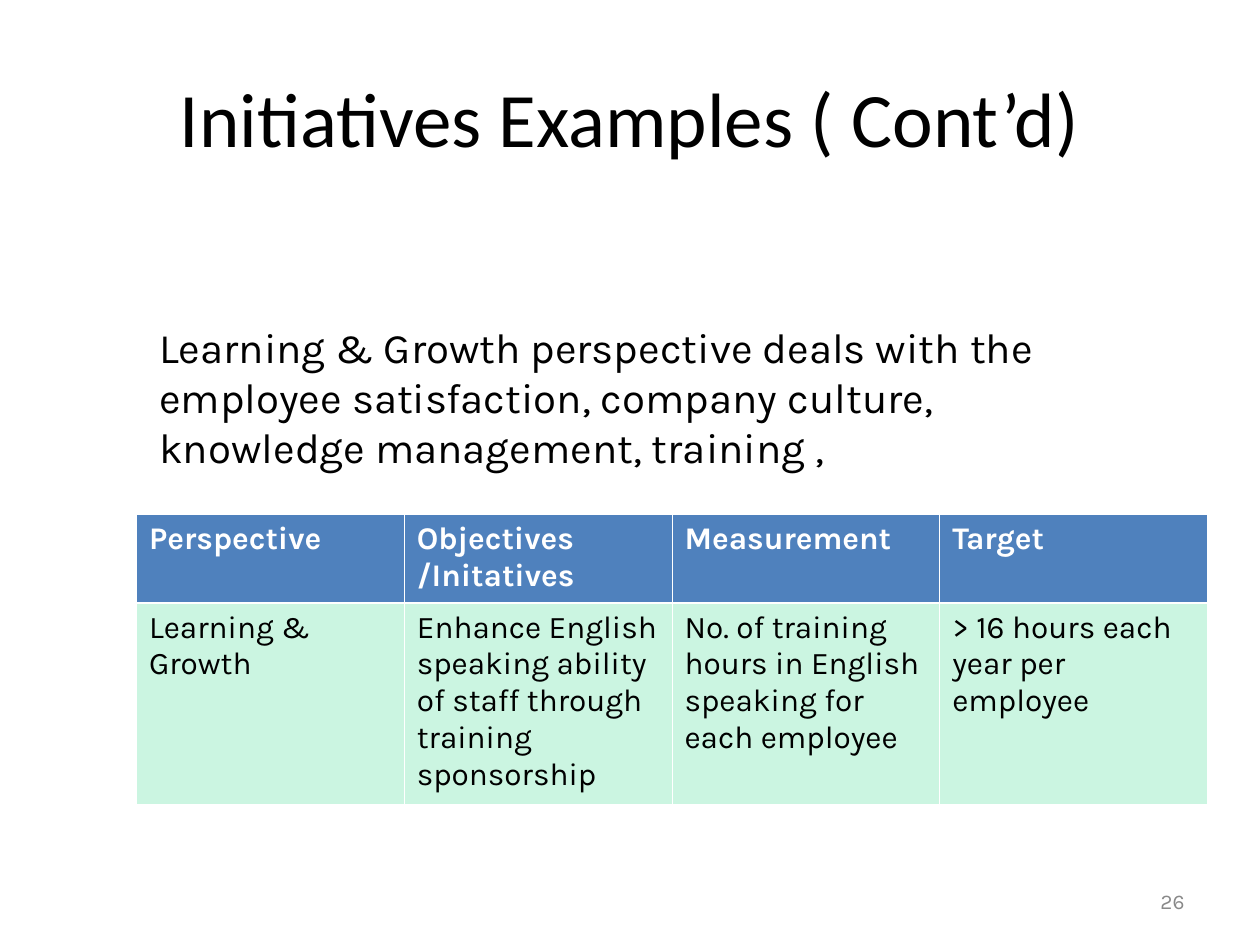
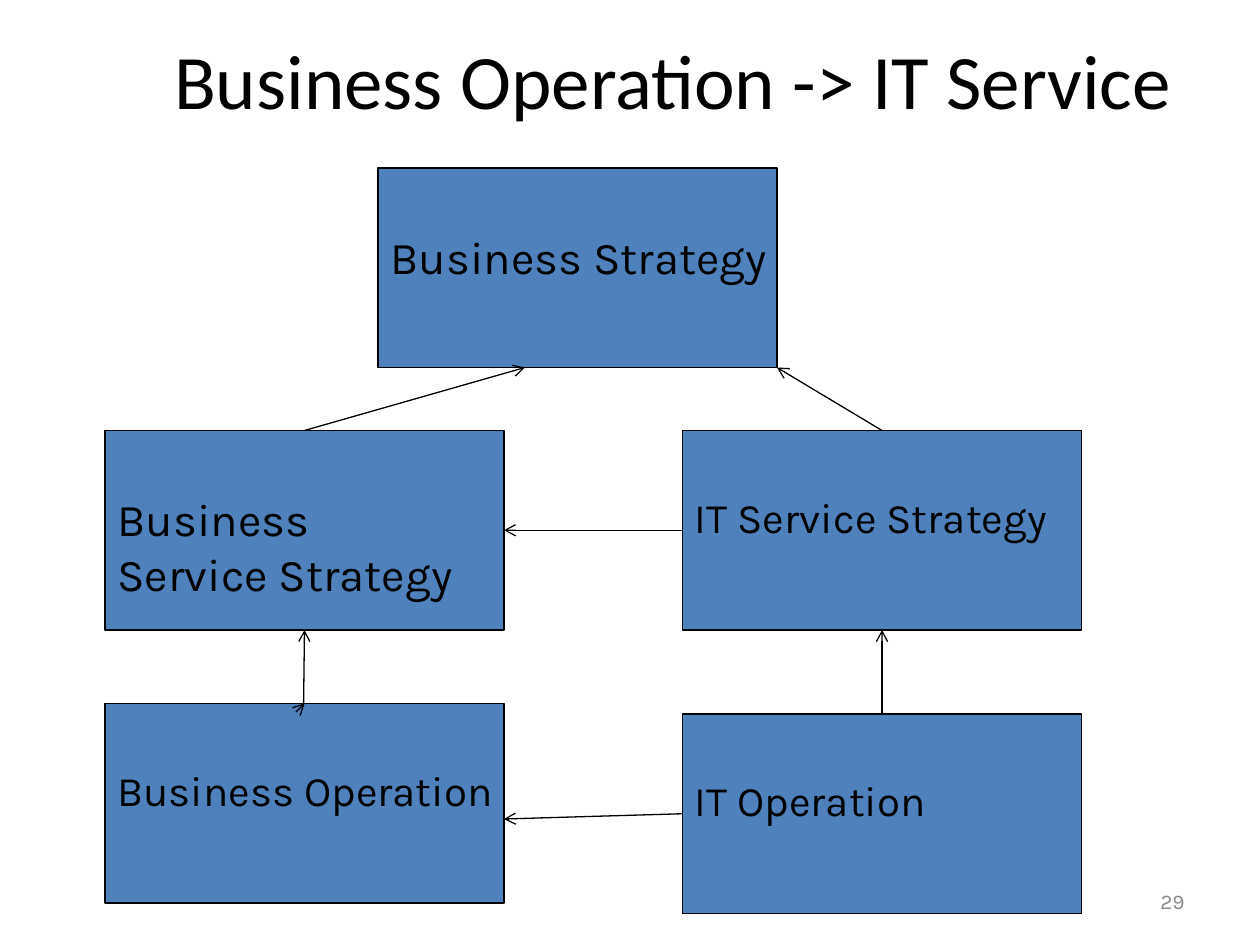
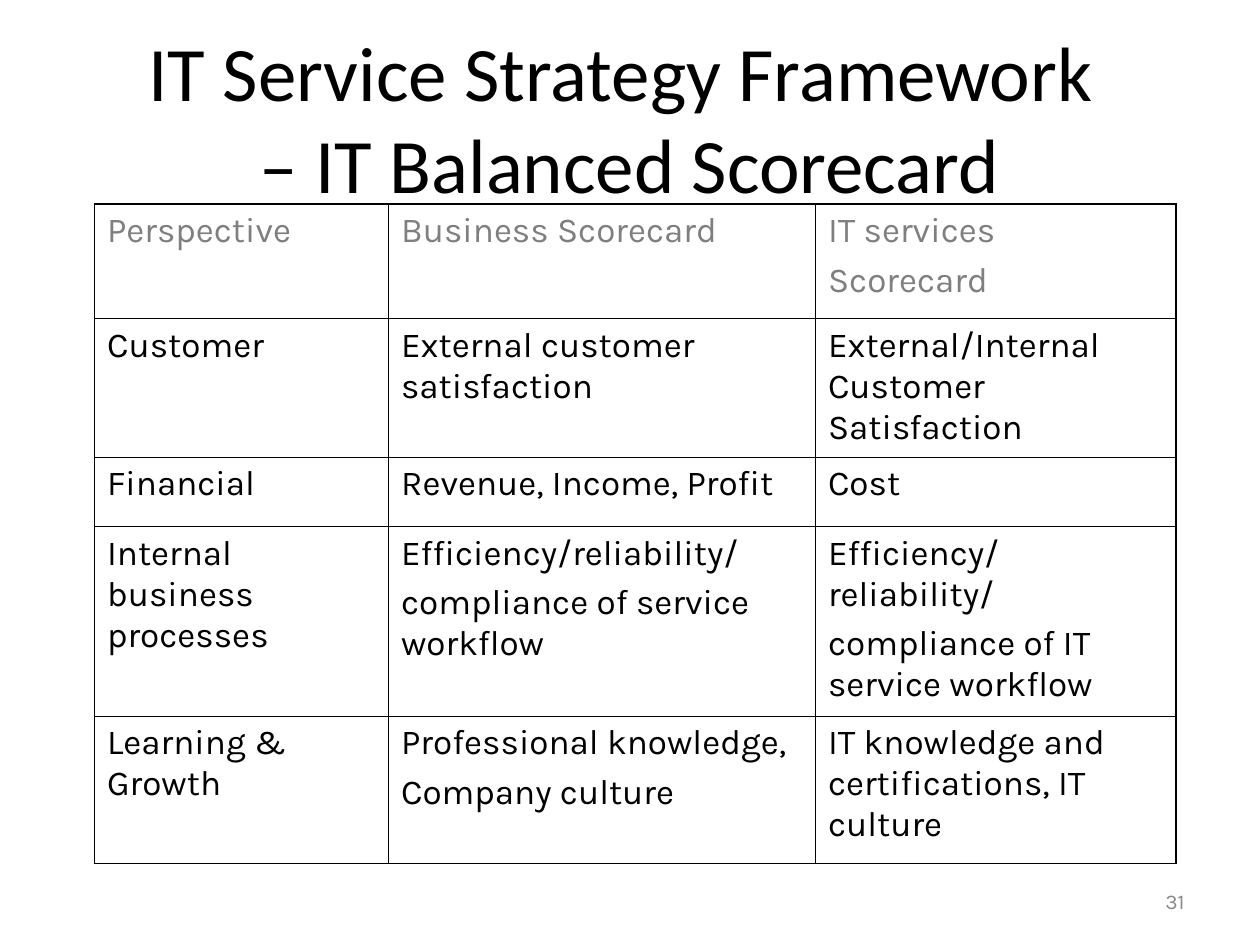
from pptx import Presentation
from pptx.dml.color import RGBColor
from pptx.enum.shapes import MSO_CONNECTOR, MSO_SHAPE
from pptx.enum.text import MSO_ANCHOR as Anchor, PP_ALIGN as Align
from pptx.oxml.ns import qn
from pptx.util import Pt
from lxml.etree import SubElement

# Shared style
BLACK, WHITE, BLUE, MINT = "000000", "FFFFFF", "4F81BD", "CBF5E1"
HEADER_GREY, NUMBER_GREY = "7F7F7F", "898989"
TITLE_FONT, BODY_FONT = "Calibri", "Karla"
TITLE_PLACE = (36, 21.6, 648, 90)
NUMBER_PLACE = (516, 500.4, 168, 28.8)
BOX_WIDTH, BOX_HEIGHT = 228, 114


def color(hex_string):
    return RGBColor.from_string(hex_string)


def write(text_frame, text, size, hex_color, font=BODY_FONT, bold=False,
          align=Align.LEFT, space=0):
    """Fill a frame; space goes before each paragraph after the first."""
    text_frame.word_wrap = True
    text_frame.text = text
    for index, paragraph in enumerate(text_frame.paragraphs):
        paragraph.alignment = align
        paragraph.space_before = Pt(space if index else 0)
        for run in paragraph.runs:
            run.font.size = Pt(size)
            run.font.name = font
            run.font.bold = bold
            run.font.color.rgb = color(hex_color)


def add_text(slide, place, text, size, hex_color, anchor=Anchor.TOP, **style):
    text_box = slide.shapes.add_textbox(*map(Pt, place))
    text_box.text_frame.vertical_anchor = anchor
    write(text_box.text_frame, text, size, hex_color, **style)


def add_slide(presentation, title, number, title_place=TITLE_PLACE):
    slide = presentation.slides.add_slide(presentation.slide_layouts[6])
    add_text(slide, title_place, title, 44, BLACK, Anchor.MIDDLE,
             font=TITLE_FONT, align=Align.CENTER)
    add_text(slide, NUMBER_PLACE, str(number), 12, NUMBER_GREY, Anchor.MIDDLE,
             align=Align.RIGHT)
    return slide


def add_box(slide, left, top, text, size):
    box = slide.shapes.add_shape(MSO_SHAPE.RECTANGLE, Pt(left), Pt(top),
                                 Pt(BOX_WIDTH), Pt(BOX_HEIGHT))
    box.shadow.inherit = False
    box.fill.solid()
    box.fill.fore_color.rgb = color(BLUE)
    box.line.color.rgb = color(BLACK)
    box.line.width = Pt(0.75)
    frame = box.text_frame
    frame.vertical_anchor = Anchor.TOP
    frame.margin_top, frame.margin_right = Pt(34.6), 0
    write(frame, text, size, BLACK)


def add_arrow(slide, start, end):
    arrow = slide.shapes.add_connector(MSO_CONNECTOR.STRAIGHT,
                                       *map(Pt, start + end))
    arrow.line.color.rgb = color(BLACK)
    arrow.line.width = Pt(0.75)
    properties = arrow._element.spPr
    SubElement(properties.find(qn("a:ln")), qn("a:tailEnd"), type="arrow")
    SubElement(properties, qn("a:effectLst"))


def set_borders(cell, hex_color, widths):
    """Draw the left, right, top and bottom borders, in that order."""
    properties = cell._tc.get_or_add_tcPr()
    for side, width in zip("LRTB", widths):
        line = SubElement(properties, qn(f"a:ln{side}"), w=str(Pt(width)))
        fill = SubElement(line, qn("a:solidFill"))
        SubElement(fill, qn("a:srgbClr"), val=hex_color)


def add_table(slide, left, top, column_widths, row_heights, rows, style_cell):
    frame = slide.shapes.add_table(len(rows), len(column_widths), Pt(left), Pt(top),
                                   Pt(sum(column_widths)), Pt(sum(row_heights)))
    table = frame.table
    table.first_row = table.horz_banding = False
    for column, width in zip(table.columns, column_widths):
        column.width = Pt(width)
    for row, height in zip(table.rows, row_heights):
        row.height = Pt(height)
    for row_index, texts in enumerate(rows):
        for column_index, text in enumerate(texts):
            style_cell(table.cell(row_index, column_index), text,
                       row_index, column_index)


def style_initiative_cell(cell, text, row, column):
    header = row == 0
    set_borders(cell, WHITE, (0.45, 0.45) + ((0.45, 1.47) if header else (1.47, 0.45)))
    cell.fill.solid()
    cell.fill.fore_color.rgb = color(BLUE if header else MINT)
    write(cell.text_frame, text, 18, WHITE if header else BLACK, bold=header)


def style_scorecard_cell(cell, text, row, column):
    on_edges = (column == 0, column == 2, row == 0, row == 4)
    set_borders(cell, BLACK, [1.08 if edge else 0.45 for edge in on_edges])
    cell.fill.background()
    write(cell.text_frame, text, 20, BLACK if row else HEADER_GREY, space=5)


def build_initiatives(presentation):
    slide = add_slide(presentation, "Initiatives Examples ( Cont’d)", 26)
    rows = [
        ("Perspective", "Objectives\n/Initatives", "Measurement", "Target"),
        ("Learning & Growth",
         "Enhance English speaking ability of staff through training sponsorship",
         "No. of training hours in English speaking for each employee",
         "> 16 hours each year per employee"),
    ]
    add_table(slide, 78, 294, [153] * 4, [50, 115.2], rows, style_initiative_cell)
    add_text(slide, (84, 180, 570, 93.6),
             "Learning & Growth perspective deals with the employee satisfaction, "
             "company culture, knowledge management, training ,", 24, BLACK)


def build_operation(presentation):
    slide = add_slide(presentation, "Business Operation -> IT Service", 29,
                      (78, 0, 613.4, 90))
    left, right, middle = 60, 390, 216
    top, center, business_bottom, it_bottom = 96, 246, 402, 408
    for x, y, text, size in [
        (left, center, "Business\nService Strategy", 26),
        (right, center, "IT Service Strategy", 24),
        (left, business_bottom, "Business Operation", 24),
        (right, it_bottom, "IT Operation", 24),
        (middle, top, "Business Strategy", 26),
    ]:
        add_box(slide, x, y, text, size)

    # Arrows between box edges
    half_width, half_height = BOX_WIDTH / 2, BOX_HEIGHT / 2
    left_axis, right_axis = left + half_width, right + half_width
    left_edge = left + BOX_WIDTH
    top_end, center_end = top + BOX_HEIGHT, center + BOX_HEIGHT
    operation_start = (left_axis - 0.5, business_bottom + 0.5)
    for start, end in [
        ((left_axis, center), (300, top_end)),
        (operation_start, (left_axis, business_bottom)),
        (operation_start, (left_axis, center_end)),
        ((right, center + half_height), (left_edge, center + half_height)),
        ((right_axis, it_bottom), (right_axis, center_end)),
        ((right, it_bottom + half_height), (left_edge, 468)),
        ((right_axis, center), (middle + BOX_WIDTH, top_end)),
    ]:
        add_arrow(slide, start, end)


def build_scorecard(presentation):
    slide = add_slide(presentation,
                      "IT Service Strategy Framework \v– IT Balanced Scorecard", 31)
    rows = [
        ("Perspective", "Business Scorecard", "IT services\nScorecard"),
        ("Customer", "External customer satisfaction",
         "External/Internal Customer Satisfaction"),
        ("Financial", "Revenue, Income, Profit", "Cost"),
        ("Internal business processes",
         "Efficiency/reliability/\ncompliance of service workflow",
         "Efficiency/reliability/\ncompliance of IT service workflow"),
        ("Learning & Growth", "Professional knowledge,\nCompany culture",
         "IT knowledge and certifications, IT culture"),
    ]
    add_table(slide, 54, 116.6, [168, 244, 206], [65.5, 79.2, 39.6, 85.7, 84.2],
              rows, style_scorecard_cell)


def main():
    presentation = Presentation()
    presentation.slide_width, presentation.slide_height = Pt(720), Pt(540)
    build_initiatives(presentation)
    build_operation(presentation)
    build_scorecard(presentation)
    presentation.save("out.pptx")


if __name__ == "__main__":
    main()
